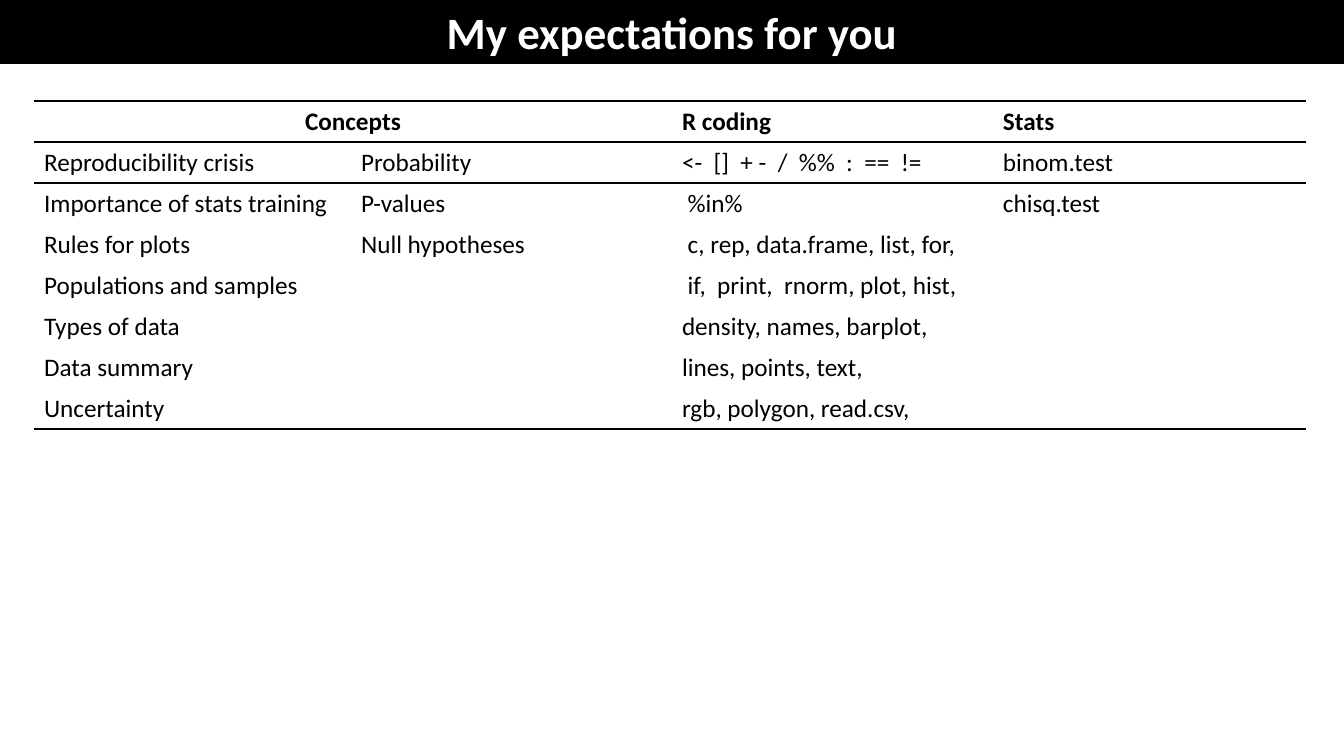
import pptx
import pptx.util
import pptx.dml.color
import pptx.enum.text
import pptx.oxml

PX = 914400 / 100.8
THEME = {
    "font": "Calibri",
    "ink": "000000",
    "paper": "FFFFFF",
    "title": 32,
    "body": 18,
    "rule": 1,
}
NO_STYLE = "{2D5ABB26-0587-4C30-8999-92F81FD0307C}"
CENTER = pptx.enum.text.PP_ALIGN.CENTER
MIDDLE = pptx.enum.text.MSO_ANCHOR.MIDDLE


def px(n):
    return pptx.util.Emu(round(n * PX))


def style(p, size, color, bold):
    p.font.name = THEME["font"]
    p.font.size = pptx.util.Pt(THEME[size])
    p.font.bold = bold
    p.font.color.rgb = pptx.dml.color.RGBColor.from_string(THEME[color])


prs = pptx.Presentation()
prs.slide_width, prs.slide_height = px(1344), px(756)
s = prs.slides.add_slide(prs.slide_layouts[5])

title = s.shapes.title
title.left, title.top, title.width, title.height = px(0), px(0), px(1344), px(64)
title.fill.solid()
title.fill.fore_color.rgb = pptx.dml.color.RGBColor.from_string(THEME["ink"])
tf = title.text_frame
tf.text = "My expectations for you"
tf.word_wrap = True
tf.auto_size = pptx.enum.text.MSO_AUTO_SIZE.NONE
tf.vertical_anchor = MIDDLE
p = tf.paragraphs[0]
p.alignment = CENTER
style(p, "title", "paper", True)

rows = [
    ["Concepts", "", "R coding", "Stats"],
    ["Reproducibility crisis", "Probability", "<-  []  + -  /  %%  :  ==  !=", "binom.test"],
    ["Importance of stats training", "P-values", " %in%", "chisq.test"],
    ["Rules for plots", "Null hypotheses", " c, rep, data.frame, list, for,", ""],
    ["Populations and samples", "", " if,  print,  rnorm, plot, hist,", ""],
    ["Types of data", "", "density, names, barplot,", ""],
    ["Data summary", "", "lines, points, text,", ""],
    ["Uncertainty", "", "rgb, polygon, read.csv,", ""],
]
widths = [317, 321, 321, 313]
row_height = 41
last = len(rows) - 1
ruled_sides = {0: "BT", 1: "T", last: "B"}

frame = s.shapes.add_table(
    len(rows), len(widths), px(34), px(101), px(sum(widths)), px(row_height * len(rows))
)
table = frame.table
table.first_row = table.horz_banding = False
frame._element.graphic.graphicData.tbl.tblPr[0].text = NO_STYLE
for column, width in zip(table.columns, widths):
    column.width = px(width)

for i, texts in enumerate(rows):
    table.rows[i].height = px(row_height)
    for j, text in enumerate(texts):
        cell = table.cell(i, j)
        cell.fill.background()
        cell.text = text
        style(cell.text_frame.paragraphs[0], "body", "ink", i == 0)
        for side in ruled_sides.get(i, ""):
            line = pptx.oxml.parse_xml(
                f'<a:ln{side} xmlns:a="http://schemas.openxmlformats.org/drawingml/2006/main"'
                f' w="{pptx.util.Pt(THEME["rule"])}"><a:solidFill>'
                f'<a:srgbClr val="{THEME["ink"]}"/></a:solidFill></a:ln{side}>'
            )
            cell._tc.get_or_add_tcPr().insert(0, line)

table.cell(0, 0).merge(table.cell(0, 1))
table.cell(0, 0).text_frame.paragraphs[0].alignment = CENTER

prs.save("out.pptx")
